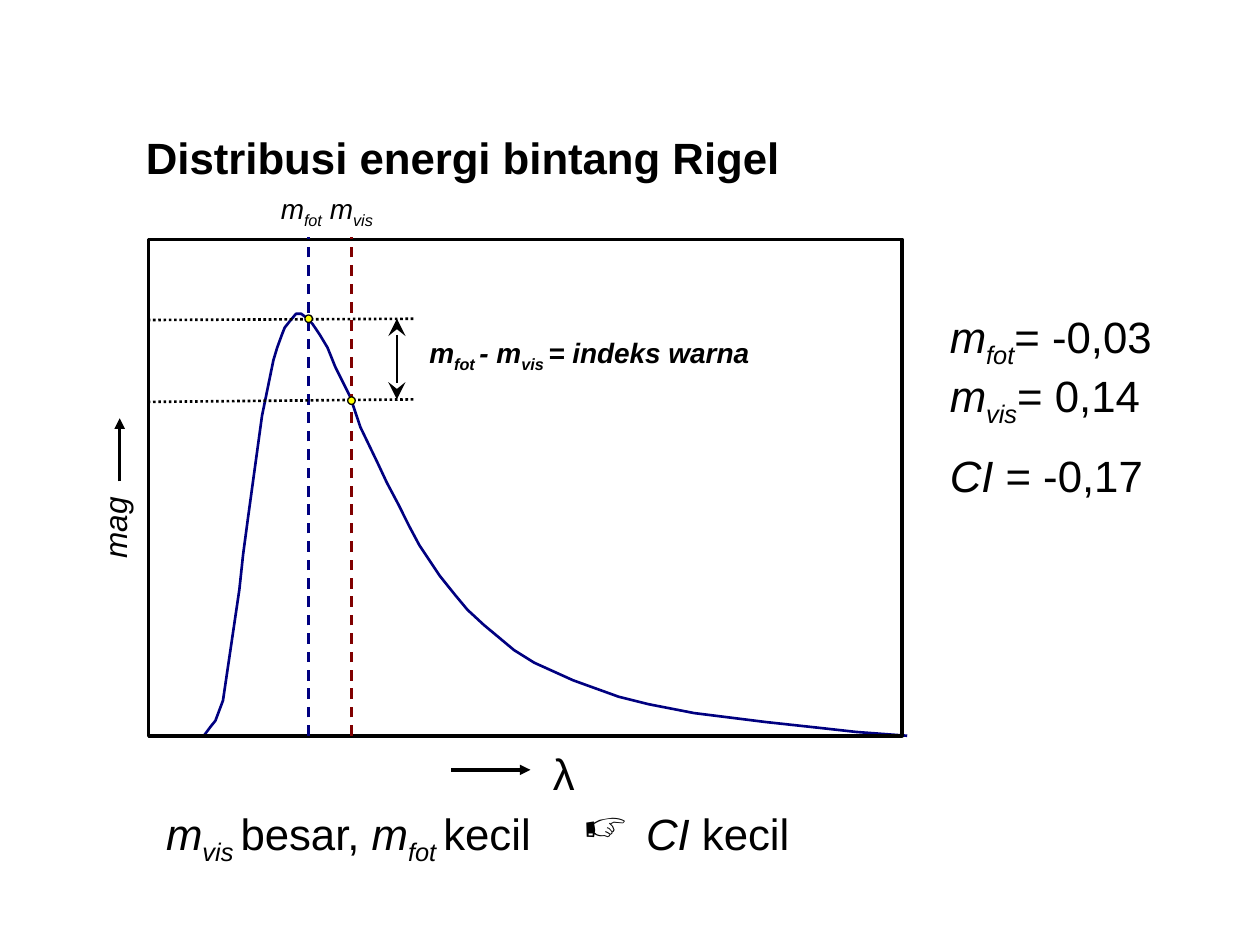
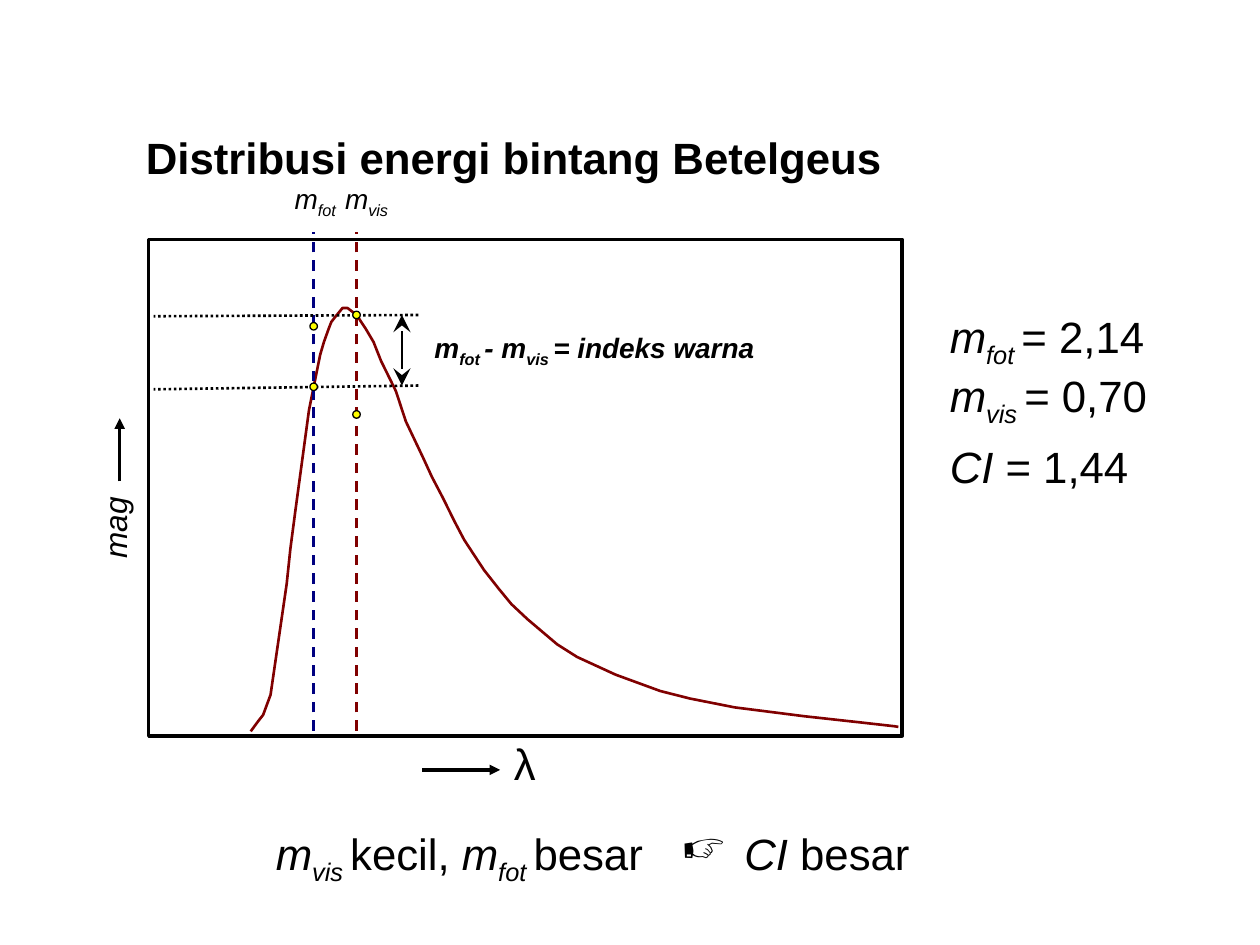
from dataclasses import dataclass

from lxml.etree import SubElement
from pptx import Presentation
from pptx.dml.color import RGBColor
from pptx.enum.dml import MSO_LINE
from pptx.enum.shapes import MSO_CONNECTOR, MSO_SHAPE
from pptx.enum.text import MSO_AUTO_SIZE
from pptx.oxml.ns import qn
from pptx.util import Inches, Pt

COLORS = {"ink": "000000", "blue": "000080", "red": "800000", "dot": "FFFF00"}
COLUMNS, ROWS = 100, 75
DOT_SIZE = 0.6

# Energy curve of the hot star, in columns and rows
CURVE = [
    (16.1, 58.5), (16.7, 57.7), (17.1, 57.2), (17.7, 55.6), (19, 46.8), (19.3, 44),
    (19.7, 41), (20.8, 33), (21.7, 28.6), (22, 27.6), (22.4, 26.5), (22.6, 26),
    (23, 25.5), (23.5, 24.9), (23.9, 24.9), (24.3, 25.2), (24.8, 25.7), (25.4, 26.6),
    (26, 27.6), (26.6, 29.1), (27.8, 31.5), (28.6, 33.9), (30, 36.8), (30.7, 38.3),
    (31.6, 40), (32.5, 41.8), (33.3, 43.3), (34.1, 44.5), (34.9, 45.7), (36.1, 47.2),
    (37.1, 48.4), (38.4, 49.6), (39.6, 50.6), (40.8, 51.6), (42.4, 52.6), (45.5, 54),
    (49.1, 55.3), (51.5, 55.9), (55.1, 56.6), (60.7, 57.3), (65.3, 57.8), (68, 58.1),
    (72, 58.4),
]
# The cool star has the same curve, moved right and cut at the frame
COOL_CURVE = [(19.9 + 0.985 * (x - 16.1), y - 0.45) for x, y in CURVE[:-1]] + [(71.3, 57.7)]


@dataclass
class Star:
    name: str
    curve: list
    curve_color: str
    shift: float          # moves the markers right and up
    levels: list          # (right row, left row) of each dotted line
    dots: list            # rows of the dots on the (fot, vis) lines
    label_lefts: tuple
    label_top: float
    wave_arrow: tuple
    wave_label: tuple
    values: list          # (symbol, subscript, value, top)
    summary: tuple        # (left, top, vis word, fot word)
    result: tuple         # (left, word)


STARS = [
    Star("Rigel", CURVE, "blue", 0, [(25.3, 25.4), (31.7, 31.9)],
         [(25.3, 31.8)], (21.3, 25.2), 14.7, (35.8, 42.1), (42.9, 58.8),
         [("m", "fot", "= -0,03", 24.1), ("m", "vis", "= 0,14", 28.8),
          ("CI ", "", "= -0,17", 35.1)],
         (12.2, 63.5, "besar", "kecil"), (45.3, "kecil")),
    Star("Betelgeus", COOL_CURVE, "red", 0.4, [(25, 25.1), (30.6, 30.9)],
         [(30.7, 25), (25.9, 32.9)], (22.4, 26.4), 13.9, (33.5, 39.7), (39.8, 58),
         [("m", "fot ", "= 2,14", 24.1), ("m", "vis ", "= 0,70", 28.8),
          ("CI ", "", "= 1,44", 34.4)],
         (20.9, 65.1, "kecil", "besar"), (53.1, "besar")),
]


class SlideWriter:
    """Holds the style and the current slide; places are columns and rows."""

    font = "Arial"

    def __init__(self, deck):
        self.deck = deck
        self.column = deck.slide_width / COLUMNS
        self.row = deck.slide_height / ROWS

    def new_page(self):
        self.page = self.deck.slides.add_slide(self.deck.slide_layouts[6])

    def place(self, x, y):
        return round(x * self.column), round(y * self.row)

    def color(self, name):
        return RGBColor.from_string(COLORS[name])

    def outline(self, item, color, width, dash=None):
        item.line.color.rgb = self.color(color)
        item.line.width = Pt(width)
        if dash:
            item.line.dash_style = dash

    def text(self, left, top, width, height, spans, size=25, bullet=None, turn=0):
        """Each span is (text, style): b bold, i italic, s subscript."""
        box = self.page.shapes.add_textbox(*self.place(left, top), *self.place(width, height))
        box.rotation = turn
        frame = box.text_frame
        frame.word_wrap = True
        frame.auto_size = MSO_AUTO_SIZE.SHAPE_TO_FIT_TEXT
        para = frame.paragraphs[0]
        for words, style in spans:
            span = para.add_run()
            span.text = words
            span.font.name = self.font
            span.font.size = Pt(size)
            span.font.color.rgb = self.color("ink")
            span.font.bold = "b" in style
            span.font.italic = "i" in style
            if "s" in style:
                span._r.get_or_add_rPr().set("baseline", "-25000")
        if bullet:
            props = para._p.get_or_add_pPr()
            props.set("marL", str(Inches(0.5)))
            props.set("indent", str(-Inches(0.5)))
            tint = SubElement(props, qn("a:buClr"))
            SubElement(tint, qn("a:srgbClr")).set("val", COLORS["ink"])
            SubElement(props, qn("a:buChar")).set("char", bullet)

    def line(self, start, end, color="ink", width=1.5, dash=None, head=None, tail=None, tip="med"):
        line = self.page.shapes.add_connector(
            MSO_CONNECTOR.STRAIGHT, *self.place(*start), *self.place(*end))
        self.outline(line, color, width, dash)
        stroke = line.line._get_or_add_ln()
        for tag, kind in (("a:headEnd", head), ("a:tailEnd", tail)):
            if kind:
                arrow = SubElement(stroke, qn(tag))
                for key, value in (("type", kind), ("w", tip), ("len", tip)):
                    arrow.set(key, value)
        SubElement(line._element.spPr, qn("a:effectLst"))

    def shape(self, kind, left, top, width, height, line_width, fill=None):
        shape = self.page.shapes.add_shape(
            kind, *self.place(left, top), *self.place(width, height))
        self.finish(shape, "ink", line_width, fill)

    def curve(self, points, color):
        first, *rest = [self.place(*point) for point in points]
        builder = self.page.shapes.build_freeform(*first)
        builder.add_line_segments(rest, close=False)
        self.finish(builder.convert_to_shape(), color, 1.5)

    def finish(self, shape, color, width, fill=None):
        shape.shadow.inherit = False
        if fill:
            shape.fill.solid()
            shape.fill.fore_color.rgb = self.color(fill)
        else:
            shape.fill.background()
        self.outline(shape, color, width)


def draw_axes(writer, star):
    writer.shape(MSO_SHAPE.RECTANGLE, 11.8, 19, 59.8, 39.4, 2)
    start, end = star.wave_arrow
    writer.line((start, 61.1), (end, 61.1), width=2, tail="triangle")
    writer.text(*star.wave_label, 4.7, 5.2, [("λ", "")])
    writer.text(5.4, 39.6, 7.4, 4, [("mag", "i")], size=18, turn=270)
    writer.line((9.5, 38.2), (9.5, 33.2), width=2, tail="triangle")


def draw_markers(writer, star):
    shift = star.shift
    line_columns = (24.5 + shift, 27.9 + shift)

    # Filter lines and their labels
    for x, color, name, left in zip(line_columns, ("blue", "red"), ("fot", "vis"),
                                    star.label_lefts):
        writer.line((x, 58.4 - shift), (x, 18.8 - shift), color, dash=MSO_LINE.DASH)
        writer.text(left, star.label_top, 7.9, 4.1, [("m", "i"), (name, "is")], size=16)

    # Magnitude levels and the gap between them
    for right_row, left_row in star.levels:
        writer.line((32.8 + shift, right_row), (11.8 + shift, left_row),
                    dash=MSO_LINE.ROUND_DOT)
    top, bottom = (level[0] for level in star.levels)
    writer.line((31.5 + shift, top), (31.5 + shift, bottom), width=1,
                head="stealth", tail="stealth", tip="lg")
    writer.text(33.1 + shift, 26.1 - shift, 31.7, 4.1,
                [("m", "bi"), ("fot ", "bis"), ("- m", "bi"), ("vis ", "bis"),
                 ("= indeks warna", "bi")], size=16)

    # Dots on the filter lines
    for rows in star.dots:
        for x, y in zip(line_columns, rows):
            writer.shape(MSO_SHAPE.FLOWCHART_CONNECTOR, x - DOT_SIZE / 2, y - DOT_SIZE / 2,
                         DOT_SIZE, DOT_SIZE, 0.75, "dot")


def draw_words(writer, star):
    writer.text(10.6, 9.9, 63.8, 5.2, [(f"Distribusi energi bintang {star.name}", "b")])
    for symbol, subscript, value, top in star.values:
        spans = [(symbol, "i"), (subscript, "is"), (value, "")]
        writer.text(74.4, top, 19.7, 5.8, [span for span in spans if span[0]])
    left, top, vis_word, fot_word = star.summary
    writer.text(left, top, 42.5, 5.8,
                [("m", "i"), ("vis ", "is"), (f"{vis_word}, ", ""),
                 ("m", "i"), ("fot ", "is"), (fot_word, "")])
    left, word = star.result
    writer.text(left, top, 25.2, 5.2, [("CI ", "i"), (word, "")], bullet="☞")


def main():
    deck = Presentation()
    deck.slide_width, deck.slide_height = Inches(10), Inches(7.5)
    writer = SlideWriter(deck)
    for star in STARS:
        writer.new_page()
        writer.curve(star.curve, star.curve_color)
        draw_axes(writer, star)
        draw_markers(writer, star)
        draw_words(writer, star)
    deck.save("out.pptx")


if __name__ == "__main__":
    main()
